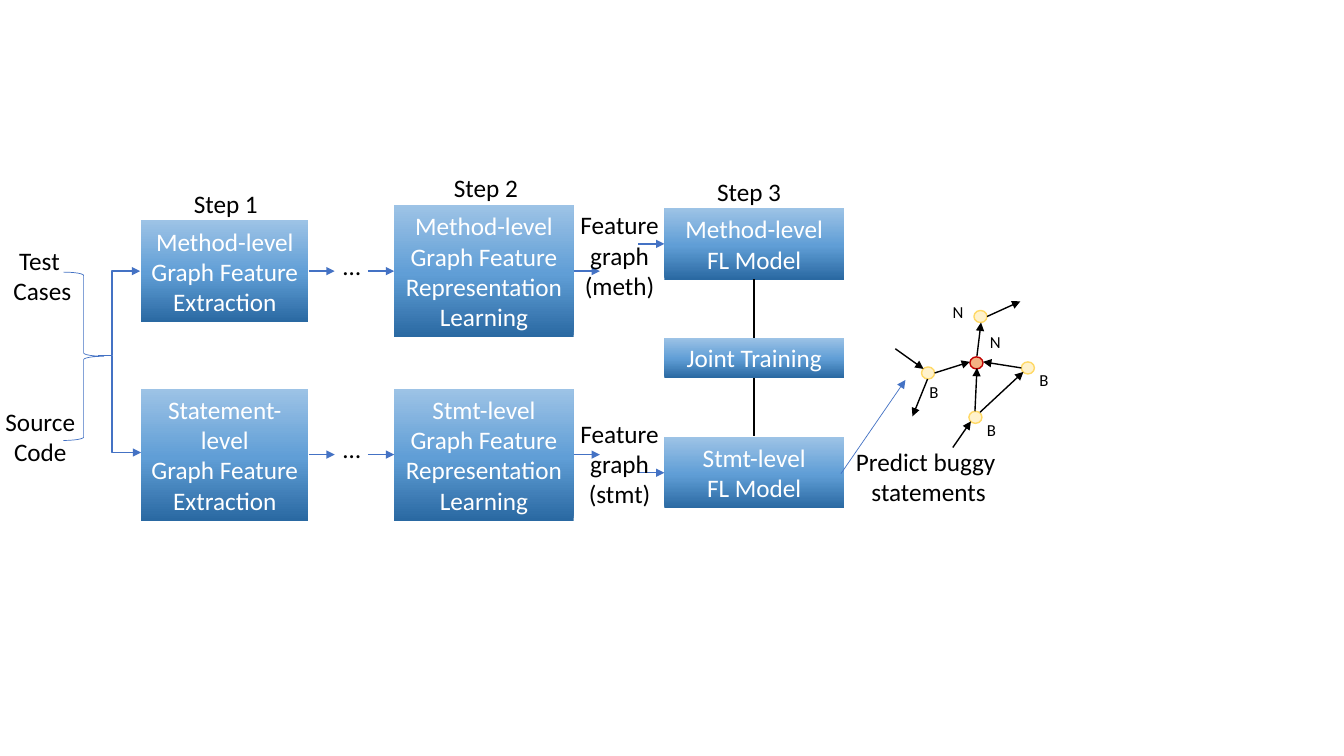
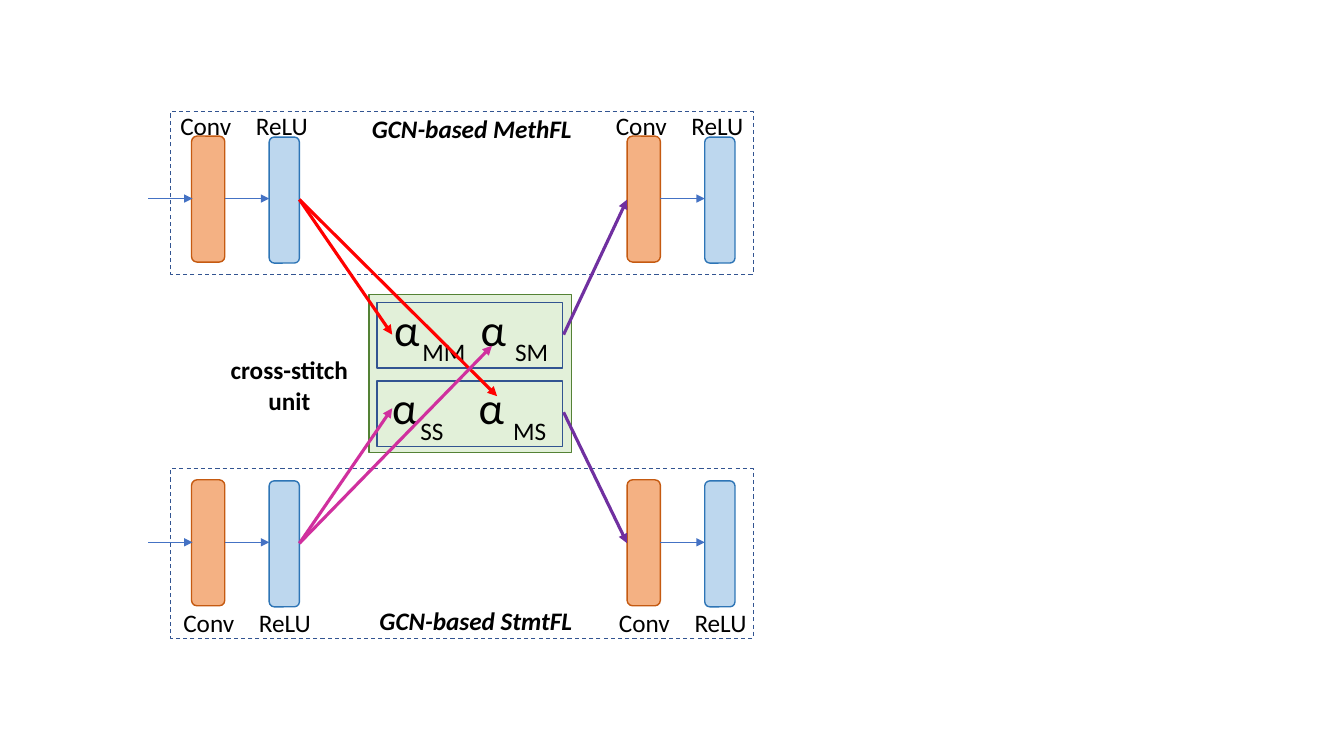
from copy import deepcopy

from pptx import Presentation
from pptx.dml.color import RGBColor
from pptx.enum import dml, shapes, text
from pptx.oxml import ns, xmlchemy
from pptx.util import Inches, Pt

FONT = "Calibri"
BLACK = RGBColor(0x00, 0x00, 0x00)
WHITE = RGBColor(0xFF, 0xFF, 0xFF)
BLUE = RGBColor(0x44, 0x72, 0xC4)
NAVY = RGBColor(0x32, 0x54, 0x91)
STEP_GRADIENT = [(0, RGBColor(0x2A, 0x69, 0xA2)),
                 (0.48, RGBColor(0x60, 0x9E, 0xD6)),
                 (1, RGBColor(0x9D, 0xC3, 0xE6))]
ORANGE = RGBColor(0xF4, 0xB1, 0x83)
DARK_ORANGE = RGBColor(0xC5, 0x5A, 0x11)
DARK_RED = RGBColor(0xC0, 0x00, 0x00)
CREAM = RGBColor(0xFF, 0xF2, 0xCC)
YELLOW = RGBColor(0xFF, 0xD9, 0x66)
PALE_BLUE = RGBColor(0xBD, 0xD7, 0xEE)
MID_BLUE = RGBColor(0x2E, 0x75, 0xB6)
PALE_GREEN = RGBColor(0xE2, 0xF0, 0xD9)
GREEN = RGBColor(0x54, 0x82, 0x35)
RED = RGBColor(0xFF, 0x00, 0x00)
MAGENTA = RGBColor(0xD0, 0x30, 0x9E)
PURPLE = RGBColor(0x70, 0x30, 0xA0)

SHAPE = shapes.MSO_SHAPE
LINK = shapes.MSO_CONNECTOR
CENTER = text.PP_ALIGN.CENTER
LEFT = text.PP_ALIGN.LEFT


# Shared parts
def write(frame, words, size, color, align, bold=None, italic=None):
    frame.text = words
    for paragraph in frame.paragraphs:
        paragraph.alignment = align
        font = paragraph.font
        font.name, font.size, font.color.rgb = FONT, Pt(size), color
        font.bold, font.italic = bold, italic


def label(slide, box, words, size=18, align=CENTER, wrap=False, **style):
    frame = slide.shapes.add_textbox(*map(Inches, box)).text_frame
    frame.word_wrap = wrap
    write(frame, words, size, BLACK, align, **style)
    return frame


def block(slide, kind, box, fill=None, line=None, weight=1):
    part = slide.shapes.add_shape(kind, *map(Inches, box))
    part.shadow.inherit = False
    if fill is None:
        part.fill.background()
    else:
        part.fill.solid()
        part.fill.fore_color.rgb = fill
    if line is None:
        part.line.fill.background()
    else:
        part.line.color.rgb = line
        part.line.width = Pt(weight)
    return part


def link(slide, start, end, color=BLUE, weight=1, arrow=True, bend=None):
    """Straight line, or an elbow turning at the share `bend` of its width."""
    kind = LINK.STRAIGHT if bend is None else LINK.ELBOW
    connector = slide.shapes.add_connector(kind, *map(Inches, (*start, *end)))
    connector.line.color.rgb = color
    connector.line.width = Pt(weight)
    properties = connector._element.spPr
    if arrow:
        tip = xmlchemy.OxmlElement("a:tailEnd")
        tip.set("type", "triangle")
        properties.find(ns.qn("a:ln")).append(tip)
    if bend is not None:
        guide = xmlchemy.OxmlElement("a:gd")
        guide.set("name", "adj1")
        guide.set("fmla", f"val {round(bend * 100000)}")
        properties.find(".//" + ns.qn("a:avLst")).append(guide)
    properties.append(xmlchemy.OxmlElement("a:effectLst"))


# Slide 1: pipeline
def step_block(slide, box, words):
    step = block(slide, SHAPE.RECTANGLE, box)
    step.fill.gradient()
    stops = step._element.spPr.find(".//" + ns.qn("a:gsLst"))
    stops.append(deepcopy(stops[0]))
    for stop, (position, color) in zip(step.fill.gradient_stops, STEP_GRADIENT):
        stop.position, stop.color.rgb = position, color
    step.fill.gradient_angle = 90
    write(step.text_frame, words, 18, WHITE, CENTER)


def inputs(slide, left, top):
    label(slide, (left + 0.03, top, 0.78, 0.71), "Test \nCases")
    label(slide, (left - 0.05, top + 1.6, 0.9, 0.71), "Source\nCode")
    block(slide, SHAPE.RIGHT_BRACE, (left + 0.63, top + 0.32, 0.4, 1.67),
          line=BLUE, weight=0.5)
    link(slide, (left + 0.97, top + 1.15), (left + 1.39, top + 0.31), bend=0.34)
    link(slide, (left + 1.11, top + 1.15), (left + 1.4, top + 2.11), bend=0)


def level_row(slide, left, axis, names, extraction_height, feature, model_axis):
    extraction, short, graph = names
    extraction_width, wide, tall, model_height = 1.66, 1.78, 1.31, 0.71
    learning, model = left + 2.51, left + 5.19
    step_block(slide, (left, axis - extraction_height / 2, extraction_width,
                       extraction_height),
               f"{extraction}\nGraph Feature Extraction")
    step_block(slide, (learning, axis - tall / 2, wide, tall),
               f"{short}\nGraph Feature Representation Learning")
    step_block(slide, (model, model_axis - model_height / 2, wide, model_height),
               f"{short}\nFL Model")
    for x, y in [(left + extraction_width, axis), (learning - 0.26, axis),
                 (learning + wide, axis), (model - 0.26, model_axis)]:
        link(slide, (x, y), (x + 0.26, y))
    label(slide, (left + 1.9, axis - 0.26, 0.38, 0.4), "…")
    label(slide, (left + 4.25, feature, 0.99, 1.01), f"Feature\ngraph\n({graph})")


def joint_training(slide, left, top):
    step_block(slide, (left, top, 1.78, 0.4), "Joint Training")
    middle = left + 0.89
    for y in (top - 0.58, top + 0.4):
        link(slide, (middle, y), (middle, y + 0.58), BLACK, arrow=False)


def buggy_graph(slide, left, top):
    nodes = [(0.74, 0.55), (0.26, 0.65), (0.78, 0.09), (1.25, 0.6), (0.73, 1.09)]
    for i, (x, y) in enumerate(nodes):
        fill, line = (CREAM, YELLOW) if i else (ORANGE, DARK_RED)
        block(slide, SHAPE.OVAL, (left + x, top + y, 0.13, 0.12), fill, line)
    edges = [(0.84, 1.1, 1.27, 0.7), (0.32, 0.77, 0.17, 1.14),
             (0.39, 0.71, 0.74, 0.6), (0.57, 1.45, 0.75, 1.19),
             (0.79, 1.09, 0.81, 0.66), (1.25, 0.66, 0.87, 0.6),
             (0.81, 0.54, 0.85, 0.21), (0.91, 0.15, 1.24, 0),
             (0, 0.47, 0.28, 0.67)]
    for x1, y1, x2, y2 in edges:
        link(slide, (left + x1, top + y1), (left + x2, top + y2), BLACK)
    marks = [("N", 0.47, -0.06), ("B", 0.24, 0.73), ("N", 0.84, 0.24),
             ("B", 1.33, 0.61), ("B", 0.81, 1.11)]
    for letter, x, y in marks:
        mark = label(slide, (left + x, top + y, 0.44, 0.31), letter, 12, LEFT, True)
        mark.paragraphs[0].line_spacing = 1.07
        mark.paragraphs[0].space_after = Pt(8)
    # Prediction from the statement model
    link(slide, (left - 0.54, top + 1.71), (left + 0.1, top + 0.78), weight=0.5)
    label(slide, (left - 0.5, top + 1.39, 1.66, 0.71), "Predict buggy \nstatements")


def pipeline_slide(slide):
    inputs(slide, 0, 2.38)
    level_row(slide, 1.4, 2.69, ("Method-level", "Method-level", "meth"),
              1.01, 2.03, 2.42)
    level_row(slide, 1.4, 4.51, ("Statement-level", "Stmt-level", "stmt"),
              1.31, 4.1, 4.69)
    joint_training(slide, 6.59, 3.35)
    buggy_graph(slide, 8.88, 2.99)
    for number, (x, y) in enumerate([(1.82, 1.82), (4.4, 1.66), (7.01, 1.7)], 1):
        label(slide, (x, y, 0.84, 0.4), f"Step {number}")


# Slide 2: cross-stitch network
def gcn_panel(slide, box, title, title_at, bars_top, names_top, shift):
    left = box[0]
    panel = block(slide, SHAPE.RECTANGLE, box, line=NAVY, weight=0.75)
    panel.line.dash_style = dml.MSO_LINE.DASH
    label(slide, (*title_at, 3.4, 0.36), title, wrap=True, bold=True, italic=True)
    axis = bars_top + 0.62
    for conv in (left + 0.21, left + 4.53):
        relu = conv + 0.77
        block(slide, SHAPE.ROUNDED_RECTANGLE, (relu, bars_top + 0.01, 0.3, 1.25),
              PALE_BLUE, MID_BLUE)
        block(slide, SHAPE.ROUNDED_RECTANGLE, (conv, bars_top, 0.33, 1.25),
              ORANGE, DARK_ORANGE)
        link(slide, (conv + 0.33, axis), (relu, axis))
        for name, x in [("Conv", conv - 0.23), ("ReLU", relu - 0.25)]:
            label(slide, (x + shift, names_top, 0.96, 0.36), name,
                  align=LEFT, wrap=True)
    link(slide, (left - 0.22, axis), (left + 0.22, axis))


def cross_stitch_unit(slide, left, top):
    block(slide, SHAPE.RECTANGLE, (left, top, 2.01, 1.57), PALE_GREEN, GREEN)
    rows = [(0, 0.15, ("MM", "SM")), (0.78, 0.13, ("SS", "MS"))]
    for drop, alpha, subscripts in rows:
        y = top + drop
        for column, subscript in enumerate(subscripts):
            x = left + alpha + column * 0.86
            label(slide, (x, y + 0.02, 0.5, 0.58), "α", 32, LEFT, True)
            label(slide, (x + 0.28 + column * 0.06, y + 0.37, 0.8, 0.36),
                  subscript, align=LEFT, wrap=True)
        block(slide, SHAPE.RECTANGLE, (left + 0.08, y + 0.08, 1.84, 0.65), line=NAVY)
    label(slide, (left - 1.49, top + 0.55, 1.4, 0.64), "cross-stitch unit",
          wrap=True, bold=True)


def cross_links(slide, left, top):
    routes = [(RED, 0, 0, 1.96, 1.95), (RED, 0, 0, 0.92, 1.34),
              (MAGENTA, 0, 3.41, 0.92, 2.07), (MAGENTA, 0, 3.41, 1.91, 1.45),
              (PURPLE, 2.62, 1.34, 3.25, 0), (PURPLE, 2.62, 2.11, 3.25, 3.41)]
    for color, x1, y1, x2, y2 in routes:
        link(slide, (left + x1, top + y1), (left + x2, top + y2), color, 2.25)


def network_slide(slide):
    cross_stitch_unit(slide, 3.66, 2.92)
    gcn_panel(slide, (1.69, 1.11, 5.78, 1.61), "GCN-based MethFL",
              (2.98, 1.08), 1.35, 1.05, 0.02)
    gcn_panel(slide, (1.69, 4.65, 5.78, 1.68), "GCN-based StmtFL",
              (3.02, 5.96), 4.76, 5.98, 0.05)
    cross_links(slide, 2.97, 1.98)


deck = Presentation()
deck.slide_width, deck.slide_height = Inches(13.33), Inches(7.5)
blank = deck.slide_layouts[6]
for build in (pipeline_slide, network_slide):
    build(deck.slides.add_slide(blank))
deck.save("out.pptx")
